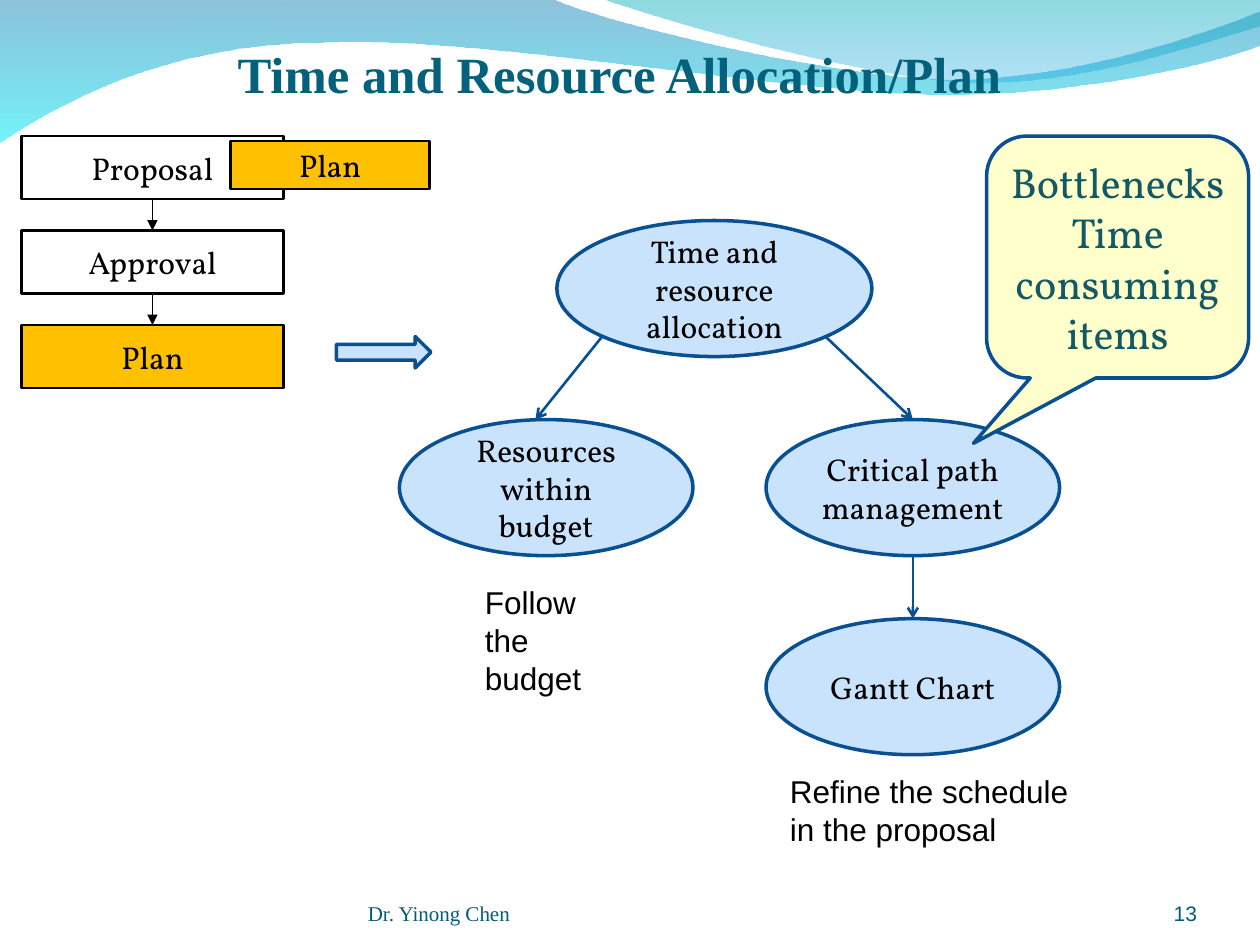
from pptx import Presentation
from pptx.dml.color import RGBColor
from pptx.enum.shapes import MSO_CONNECTOR, MSO_SHAPE
from pptx.enum.text import MSO_ANCHOR, PP_ALIGN
from pptx.oxml.ns import qn
from pptx.util import Inches, Pt
from lxml import etree

STRAIGHT = MSO_CONNECTOR.STRAIGHT
RECTANGLE, OVAL = MSO_SHAPE.RECTANGLE, MSO_SHAPE.OVAL
RIGHT_ARROW, CALLOUT = MSO_SHAPE.RIGHT_ARROW, MSO_SHAPE.ROUNDED_RECTANGULAR_CALLOUT
LEFT, CENTER, RIGHT = PP_ALIGN.LEFT, PP_ALIGN.CENTER, PP_ALIGN.RIGHT
TOP, MIDDLE, BOTTOM = MSO_ANCHOR.TOP, MSO_ANCHOR.MIDDLE, MSO_ANCHOR.BOTTOM

BLACK = RGBColor(0x00, 0x00, 0x00)
WHITE = RGBColor(0xFF, 0xFF, 0xFF)
AMBER = RGBColor(0xFF, 0xC0, 0x00)
CREAM = RGBColor(0xFF, 0xFF, 0xCC)
PALE_BLUE = RGBColor(0xC8, 0xE3, 0xFB)
OUTLINE_BLUE = RGBColor(0x08, 0x50, 0x91)
ARROW_BLUE = RGBColor(0x06, 0x50, 0x93)
TITLE_TEAL = RGBColor(0x04, 0x61, 0x7B)
FOOTER_TEAL = RGBColor(0x04, 0x5C, 0x75)
CALLOUT_TEAL = RGBColor(0x11, 0x59, 0x64)
WAVE_BLUE = RGBColor(0x00, 0x79, 0xAF)
WAVE_CYAN = RGBColor(0x00, 0xEB, 0xF8)
WAVE_TEAL = RGBColor(0x00, 0xAD, 0xB6)
WAVE_SKY = RGBColor(0x00, 0x9B, 0xE5)


def write_text(shape, text, size=18, font="Vollkorn", color=BLACK, bold=False,
               align=CENTER, anchor=MIDDLE, margins=(0.1, 0.05, 0.1, 0.05)):
    frame = shape.text_frame
    frame.text = text
    frame.word_wrap = True
    frame.vertical_anchor = anchor
    (frame.margin_left, frame.margin_top,
     frame.margin_right, frame.margin_bottom) = map(Inches, margins)
    for paragraph in frame.paragraphs:
        paragraph.alignment = align
        paragraph.font.size = Pt(size)
        paragraph.font.name = font
        paragraph.font.bold = bold
        paragraph.font.color.rgb = color


def add_label(slide, box, text, **text_format):
    write_text(slide.shapes.add_textbox(*map(Inches, box)), text, **text_format)


def add_node(slide, kind, box, fill, line, width, text="", **text_format):
    shape = slide.shapes.add_shape(kind, *map(Inches, box))
    shape.shadow.inherit = False
    shape.fill.solid()
    shape.fill.fore_color.rgb = fill
    shape.line.color.rgb = line
    shape.line.width = Pt(width)
    if text:
        write_text(shape, text, **text_format)
    return shape


def add_arrow(slide, start, end, color, width, head):
    connector = slide.shapes.add_connector(STRAIGHT, *map(Inches, start + end))
    connector.line.color.rgb = color
    connector.line.width = Pt(width)
    etree.SubElement(connector.line._get_or_add_ln(), qn("a:tailEnd"), type=head)
    etree.SubElement(connector._element.spPr, qn("a:effectLst"))
    return connector


def add_wave(slide, depth, start, segments, stops):
    """Segments hold one point for a line, or three for a cubic curve."""
    builder = slide.shapes.build_freeform(*map(Inches, start), scale=1.0)
    builder.add_line_segments(
        [tuple(map(Inches, point)) for segment in segments for point in segment],
        close=True)
    shape = builder.convert_to_shape()
    shape.shadow.inherit = False
    shape.line.fill.background()

    # Join the lines through control points into curves
    lines = iter(list(shape._element.iter(qn("a:lnTo"))))
    for segment in segments:
        first, *others = [next(lines) for point in segment]
        if others:
            first.tag = qn("a:cubicBezTo")
            for line in others:
                first.append(line[0])
                line.getparent().remove(line)

    # Translucent gradient from top to bottom
    shape.fill.gradient()
    shape.fill.gradient_angle = 270
    for stop, (color, opacity) in zip(shape.fill.gradient_stops, stops):
        stop.color.rgb = color
    gradient_colors = shape._element.spPr.find(qn("a:gradFill")).iter(qn("a:srgbClr"))
    for element, (color, opacity) in zip(gradient_colors, stops):
        etree.SubElement(element, qn("a:alpha"), val=str(opacity * 1000))

    # Keep the waves behind the title
    slide.shapes._spTree.insert(2 + depth, shape._element)


def add_header_waves(slide):
    add_wave(slide, 0, (0, 0), [
        ((4.4, 0),),
        ((4.76, 0.17), (6.64, 0.63), (7.58, 0.63)),
        ((8.53, 0.63), (9.58, 0.26), (10, 0.09)),
        ((10, 0.36),),
        ((9.83, 0.44), (8.7, 0.76), (7.46, 0.75)),
        ((6.22, 0.75), (3.82, 0.28), (2.57, 0.34)),
        ((1.29, 0.35), (0.46, 0.83), (0, 1.13)),
    ], [(WAVE_BLUE, 45), (WAVE_CYAN, 55)])
    add_wave(slide, 1, (4.79, 0), [
        ((5.09, 0.11), (6.82, 0.62), (7.69, 0.65)),
        ((8.56, 0.69), (9.61, 0.32), (10, 0.21)),
        ((10, 0),),
    ], [(WAVE_TEAL, 45), (WAVE_SKY, 30)])


def add_title(slide, box):
    title = slide.shapes.title
    title.left, title.top, title.width, title.height = map(Inches, box)
    write_text(title, "Time and Resource Allocation/Plan", size=29,
               font="Times New Roman", color=TITLE_TEAL, bold=True,
               anchor=BOTTOM, margins=(0, 0.05, 0, 0))


def add_stages(slide, left, top, width, height, pitch):
    previous = None
    for index, (text, fill) in enumerate(
            [("Proposal", WHITE), ("Approval", WHITE), ("Plan", AMBER)]):
        y = top + index * pitch
        stage = add_node(slide, RECTANGLE, (left, y, width, height),
                         fill, BLACK, 1.5, text)
        if previous is not None:
            middle = left + width / 2
            arrow = add_arrow(slide, (middle, y - pitch + height), (middle, y),
                              BLACK, 0.75, "triangle")
            arrow.begin_connect(previous, 2)
            arrow.end_connect(stage, 0)
        previous = stage
    # Tag for the current stage, overlapping the first box
    add_node(slide, RECTANGLE, (left + 1.66, top + 0.04, 1.58, 0.38),
             AMBER, BLACK, 1.5, "Plan")


def add_plan_tree(slide, left, top):
    row, width, height = 1.58, 2.33, 1.08
    right = left + 2.91
    middle = right + width / 2
    for text, x, level, node_width in [
            ("Resources within budget", left, 1, width),
            ("Time and resource allocation", left + 1.25, 0, 2.5),
            ("Critical path\nmanagement", right, 1, width),
            ("Gantt Chart", right, 2, width)]:
        add_node(slide, OVAL, (x, top + level * row, node_width, height),
                 PALE_BLUE, OUTLINE_BLUE, 2, text)
    # Branches
    for start, end in [((left + 1.61, top + 0.92), (left + 1.08, top + row)),
                       ((left + 3.38, top + 0.92), (middle, top + row)),
                       ((middle, top + row + height), (middle, top + 2 * row))]:
        add_arrow(slide, start, end, ARROW_BLUE, 1.5, "arrow")
    # Remarks below the leaves
    for text, box in [
            ("Follow the budget", (left + 0.58, top + 2.83, 1.08, 1)),
            ("Refine the schedule in the proposal", (left + 3, top + 4.33, 2.42, 0.7))]:
        add_label(slide, box, text, font="Arial", align=LEFT, anchor=TOP)


def add_callout(slide, box):
    callout = add_node(slide, CALLOUT, box, CREAM, OUTLINE_BLUE, 2,
                       "Bottlenecks\nTime consuming items", size=24,
                       color=CALLOUT_TEAL, margins=(0.08, 0.05, 0.08, 0.05))
    for index, value in enumerate((-0.55, 0.77, 1 / 6)):
        callout.adjustments[index] = value


def add_footer(slide, top, height):
    for text, left, width, font, align in [
            ("Dr. Yinong Chen", 2.92, 3.67, "Times New Roman", LEFT),
            ("13", 8.67, 0.83, "Arial", RIGHT)]:
        add_label(slide, (left, top, width, height), text, size=12, font=font,
                  color=FOOTER_TEAL, align=align, anchor=BOTTOM, margins=(0, 0, 0, 0))


def main():
    presentation = Presentation()
    presentation.slide_width, presentation.slide_height = Inches(10), Inches(7.5)
    slide = presentation.slides.add_slide(presentation.slide_layouts[5])
    add_header_waves(slide)
    add_title(slide, (0.42, 0.26, 9, 0.56))
    add_plan_tree(slide, 3.17, 1.75)
    add_node(slide, RIGHT_ARROW, (2.67, 2.67, 0.75, 0.25), PALE_BLUE, OUTLINE_BLUE, 2)
    add_callout(slide, (7.83, 1.08, 2.08, 1.92))
    add_stages(slide, 0.17, 1.08, 2.08, 0.5, 0.75)
    add_footer(slide, 6.95, 0.4)
    presentation.save("out.pptx")


if __name__ == "__main__":
    main()
